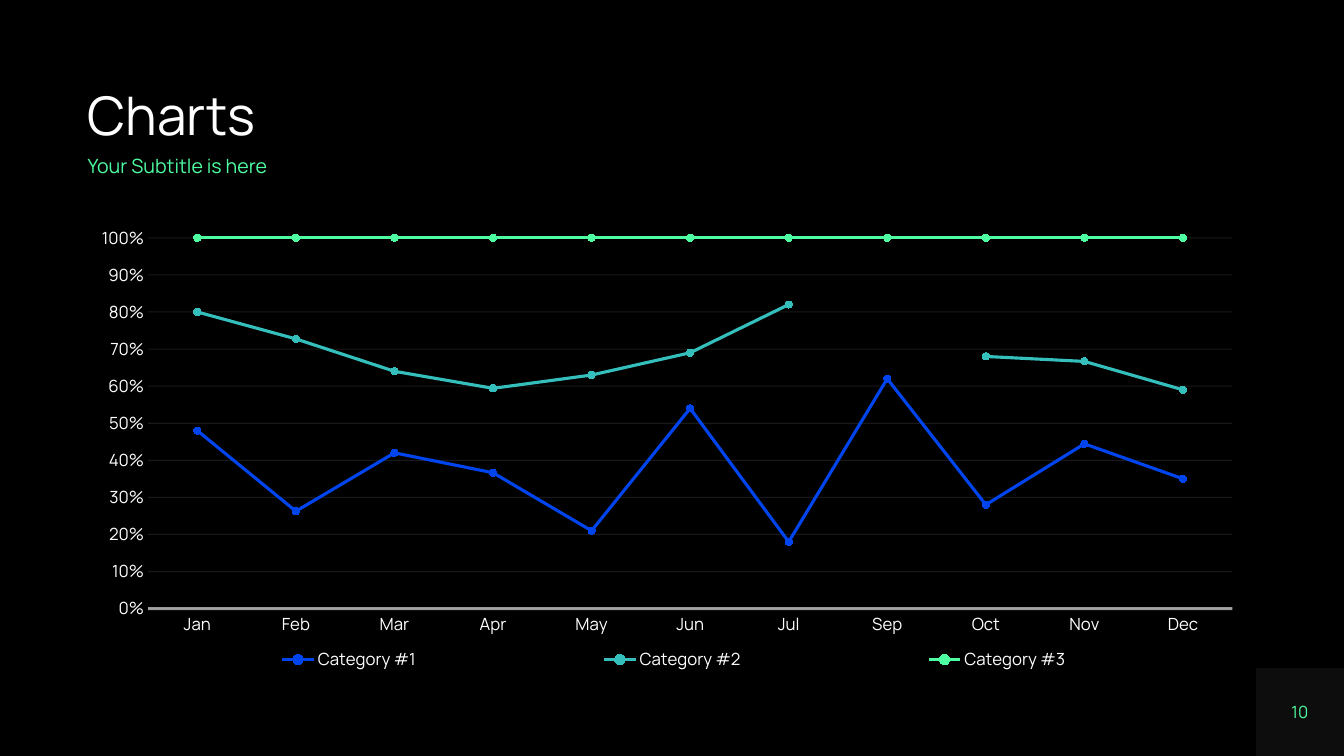
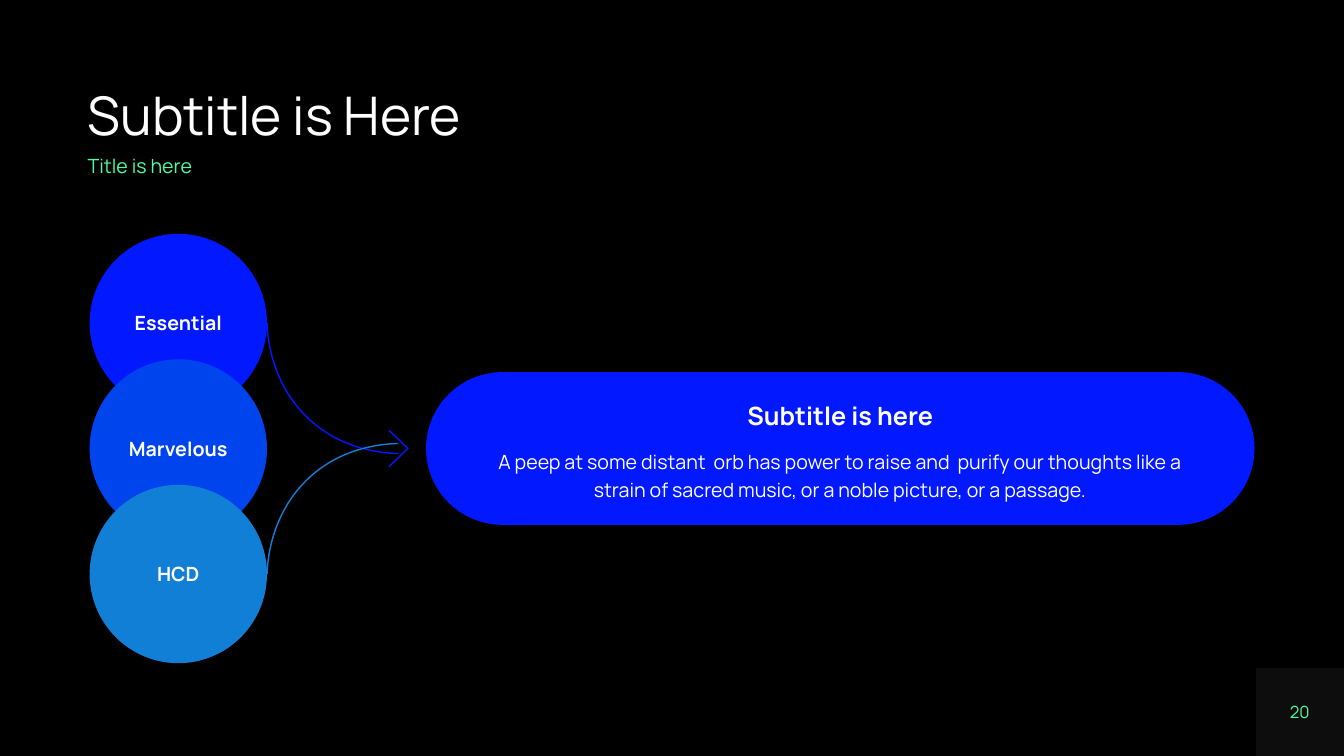
from dataclasses import dataclass

import lxml.etree
import pptx
import pptx.chart.data
import pptx.dml.color
import pptx.enum.chart
import pptx.enum.shapes
import pptx.enum.text
import pptx.oxml.ns
import pptx.util

FONT = "Manrope"
BLACK, WHITE, GREY, GRID_GREY = "000000", "FFFFFF", "808080", "404040"
MINT, TEAL, ROYAL, BLUE, SKY = "4EFDA2", "34BEBC", "0044ED", "0218FF", "117FD6"

SLIDE_WIDTH, SLIDE_HEIGHT = pptx.util.Inches(13.333), pptx.util.Inches(7.5)
MSO_SHAPE = pptx.enum.shapes.MSO_SHAPE
ANCHOR = pptx.enum.text.MSO_ANCHOR
ALIGN = pptx.enum.text.PP_ALIGN


@dataclass(frozen=True)
class Box:
    """An area in percent of the slide's width and height."""
    left: float
    top: float
    width: float
    height: float

    def emu(self) -> tuple[int, int, int, int]:
        return *emu_point((self.left, self.top)), *emu_point((self.width, self.height))


@dataclass(frozen=True)
class Text:
    content: str
    size: float
    color: str = WHITE
    bold: bool = False
    line_spacing: float = 1.0
    space_before: float = 0


@dataclass(frozen=True)
class Series:
    name: str
    color: str
    values: tuple[float | None, ...]


@dataclass(frozen=True)
class Circle:
    label: str
    color: str


Point = tuple[float, float]

TITLE_BOX = Box(6.53, 11.87, 86.93, 7.73)
SUBTITLE_BOX = Box(6.53, 20.67, 86.93, 2.8)
PAGE_BOX = Box(93.44, 88.33, 6.56, 11.67)

CHART_BOX = Box(5.85, 28.8, 87.6, 61.87)
MONTHS = ("Jan", "Feb", "Mar", "Apr", "May", "Jun", "Jul", "Sep", "Oct", "Nov", "Dec")
SERIES = (
    Series("Category #1", ROYAL, (48, 26, 42, 37, 21, 54, 18, 62, 28, 44, 35)),
    Series("Category #2", TEAL, (32, 46, 22, 23, 42, 15, 64, None, 40, 22, 24)),
    Series("Category #3", MINT, (20, 27, 36, 41, 37, 31, 18, 38, 32, 33, 41)),
)

CIRCLES = (Circle("Essential", BLUE), Circle("Marvelous", ROYAL), Circle("HCD", SKY))
FIRST_CIRCLE = Box(6.67, 30.93, 13.2, 23.6)
CIRCLE_STEP = 16.6
MIDDLE = FIRST_CIRCLE.top + CIRCLE_STEP + FIRST_CIRCLE.height / 2
PILL_HEIGHT = 20.2
PILL_BOX = Box(31.7, MIDDLE - PILL_HEIGHT / 2, 61.65, PILL_HEIGHT)
CURVE_END = 29.63
CURVE_OVERLAP = 0.67
ARROW_LEFT, ARROW_TIP, ARROW_HALF = 28.95, 30.35, 2.4


def rgb(value: str) -> pptx.dml.color.RGBColor:
    return pptx.dml.color.RGBColor.from_string(value)


def emu_point(point: Point) -> tuple[int, int]:
    return round(point[0] * SLIDE_WIDTH / 100), round(point[1] * SLIDE_HEIGHT / 100)


def set_alpha(element, color_path: str, percent: int) -> None:
    """Make the colours found under the element partly transparent."""
    for color in element.xpath(color_path):
        alpha = lxml.etree.SubElement(color, pptx.oxml.ns.qn("a:alpha"))
        alpha.set("val", str(percent * 1000))


def style_font(font, size: float, color: str = WHITE, bold: bool = False) -> None:
    font.name = FONT
    font.size = pptx.util.Pt(size)
    font.bold = bold
    font.color.rgb = rgb(color)


def write(shape, texts: tuple[Text, ...], align=ALIGN.CENTER, anchor=ANCHOR.MIDDLE,
          side_inset: float = 0) -> None:
    frame = shape.text_frame
    frame.word_wrap = True
    frame.vertical_anchor = anchor
    frame.margin_left = frame.margin_right = pptx.util.Inches(side_inset)
    frame.margin_top = frame.margin_bottom = 0
    for index, text in enumerate(texts):
        paragraph = frame.add_paragraph() if index else frame.paragraphs[0]
        paragraph.alignment = align
        paragraph.line_spacing = text.line_spacing
        if index:
            paragraph.space_before = pptx.util.Pt(text.space_before)
        run = paragraph.add_run()
        run.text = text.content
        style_font(run.font, text.size, text.color, text.bold)


def add_filled_shape(slide, preset, box: Box, color: str):
    shape = slide.shapes.add_shape(preset, *box.emu())
    shape.shadow.inherit = False
    shape.fill.solid()
    shape.fill.fore_color.rgb = rgb(color)
    shape.line.fill.background()
    return shape


def add_base_slide(presentation, title: str, subtitle: str, number: int):
    """Add a slide with the page number square, title and subtitle."""
    slide = presentation.slides.add_slide(presentation.slide_layouts[6])
    page = add_filled_shape(slide, MSO_SHAPE.RECTANGLE, PAGE_BOX, GREY)
    set_alpha(page.element, "p:spPr/a:solidFill/a:srgbClr", 10)
    write(page, (Text(str(number), 12, MINT),))
    for box, text in (
        (TITLE_BOX, Text(title, 38, line_spacing=0.9)),
        (SUBTITLE_BOX, Text(subtitle, 14, MINT, line_spacing=0.9)),
    ):
        write(slide.shapes.add_textbox(*box.emu()), (text,), ALIGN.LEFT, ANCHOR.TOP)
    return slide


def place_chart_part(part, index: int, area: Box, inner: bool = False) -> None:
    """Fix a chart part at an area given in percent of the chart."""
    qn = pptx.oxml.ns.qn
    for old_layout in part.findall(qn("c:layout")):
        part.remove(old_layout)
    layout = lxml.etree.Element(qn("c:layout"))
    manual = lxml.etree.SubElement(layout, qn("c:manualLayout"))
    settings = [("layoutTarget", "inner")] if inner else []
    settings += [("xMode", "edge"), ("yMode", "edge"),
                 ("x", area.left / 100), ("y", area.top / 100),
                 ("w", area.width / 100), ("h", area.height / 100)]
    for name, value in settings:
        lxml.etree.SubElement(manual, qn(f"c:{name}")).set("val", str(value))
    part.insert(index, layout)


def style_axes(chart) -> None:
    for axis in (chart.category_axis, chart.value_axis):
        axis.major_tick_mark = axis.minor_tick_mark = pptx.enum.chart.XL_TICK_MARK.NONE
        style_font(axis.tick_labels.font, 12)
    category_line = chart.category_axis.format.line
    category_line.color.rgb = rgb(WHITE)
    category_line.width = pptx.util.Pt(2)
    value_axis = chart.value_axis
    value_axis.format.line.fill.background()
    value_axis.tick_labels.number_format = "0%"
    value_axis.tick_labels.number_format_is_linked = False
    value_axis.has_major_gridlines = True
    grid_line = value_axis.major_gridlines.format.line
    grid_line.color.rgb = rgb(GRID_GREY)
    grid_line.width = pptx.util.Pt(0.75)
    set_alpha(chart.element, ".//c:catAx/c:spPr//a:srgbClr", 60)
    set_alpha(chart.element, ".//c:majorGridlines//a:srgbClr", 40)


def add_line_chart(slide) -> None:
    data = pptx.chart.data.CategoryChartData()
    data.categories = MONTHS
    for series in SERIES:
        data.add_series(series.name, series.values)
    chart = slide.shapes.add_chart(
        pptx.enum.chart.XL_CHART_TYPE.LINE_MARKERS_STACKED_100, *CHART_BOX.emu(), data).chart
    style_font(chart.font, 10)
    chart.has_title = False
    chart.has_legend = True
    chart.legend.position = pptx.enum.chart.XL_LEGEND_POSITION.BOTTOM
    chart.legend.include_in_layout = False
    style_font(chart.legend.font, 12)
    style_axes(chart)
    plot = chart.plots[0]
    plot.vary_by_categories = False
    for series, line in zip(SERIES, plot.series):
        line.smooth = False
        line.format.line.color.rgb = rgb(series.color)
        line.format.line.width = pptx.util.Pt(2.25)
        marker = line.marker
        marker.style = pptx.enum.chart.XL_MARKER_STYLE.CIRCLE
        marker.size = 5
        marker.format.fill.solid()
        marker.format.fill.fore_color.rgb = rgb(series.color)
        marker.format.line.color.rgb = rgb(series.color)
    place_chart_part(chart.element.xpath("c:chart/c:plotArea")[0], 0,
                     Box(5.9, 4.3, 92.1, 79.3), inner=True)
    place_chart_part(chart.element.xpath("c:chart/c:legend")[0], 1, Box(1.8, 91, 97.5, 7))


def curve_points(start: Point, end: Point, steps: int = 40) -> list[Point]:
    """Sample a Bezier curve that leaves upright and arrives level."""
    shares = ((0, 0), (0.02, 0.52), (0.37, 0.98), (1, 1))
    points = []
    for step in range(steps + 1):
        t = step / steps
        weights = ((1 - t) ** 3, 3 * t * (1 - t) ** 2, 3 * t * t * (1 - t), t ** 3)
        across, down = (sum(weight * share[axis] for weight, share in zip(weights, shares))
                        for axis in (0, 1))
        points.append((start[0] + across * (end[0] - start[0]),
                       start[1] + down * (end[1] - start[1])))
    return points


def add_open_line(shapes, points: list[Point], color: str) -> None:
    first, *rest = [emu_point(point) for point in points]
    builder = shapes.build_freeform(*first)
    builder.add_line_segments(rest, close=False)
    line = builder.convert_to_shape()
    line.shadow.inherit = False
    line.fill.background()
    line.line.color.rgb = rgb(color)
    line.line.width = pptx.util.Pt(1)


def add_circles(slide) -> None:
    for index, circle in enumerate(CIRCLES):
        box = Box(FIRST_CIRCLE.left, FIRST_CIRCLE.top + index * CIRCLE_STEP,
                  FIRST_CIRCLE.width, FIRST_CIRCLE.height)
        shape = add_filled_shape(slide, MSO_SHAPE.OVAL, box, circle.color)
        write(shape, (Text(circle.label, 14, bold=True),))


def add_pill(slide) -> None:
    pill = add_filled_shape(slide, MSO_SHAPE.ROUNDED_RECTANGLE, PILL_BOX, BLUE)
    pill.adjustments[0] = 0.5
    write(pill, (
        Text("Subtitle is here", 18, bold=True, line_spacing=1.2),
        Text("A peep at some distant  orb has power to raise and  purify our thoughts "
             "like a strain of sacred music, or a noble picture, or a passage.",
             14, line_spacing=1.2, space_before=10),
    ), anchor=ANCHOR.TOP, side_inset=0.38)


def add_merging_arrow(slide) -> None:
    shapes = slide.shapes.add_group_shape().shapes
    circle_right = FIRST_CIRCLE.left + FIRST_CIRCLE.width
    for circle, side in ((CIRCLES[0], -1), (CIRCLES[-1], 1)):
        start = (circle_right, MIDDLE + side * CIRCLE_STEP)
        end = (CURVE_END, MIDDLE - side * CURVE_OVERLAP)
        add_open_line(shapes, curve_points(start, end), circle.color)
    add_open_line(shapes, [(ARROW_LEFT, MIDDLE - ARROW_HALF), (ARROW_TIP, MIDDLE),
                           (ARROW_LEFT, MIDDLE + ARROW_HALF)], BLUE)


def main() -> None:
    presentation = pptx.Presentation()
    presentation.slide_width, presentation.slide_height = SLIDE_WIDTH, SLIDE_HEIGHT
    background = presentation.slide_master.background.fill
    background.solid()
    background.fore_color.rgb = rgb(BLACK)

    add_line_chart(add_base_slide(presentation, "Charts", "Your Subtitle is here", 10))

    slide = add_base_slide(presentation, "Subtitle is Here", "Title is here", 20)
    add_circles(slide)
    add_pill(slide)
    add_merging_arrow(slide)

    presentation.save("out.pptx")


if __name__ == "__main__":
    main()
